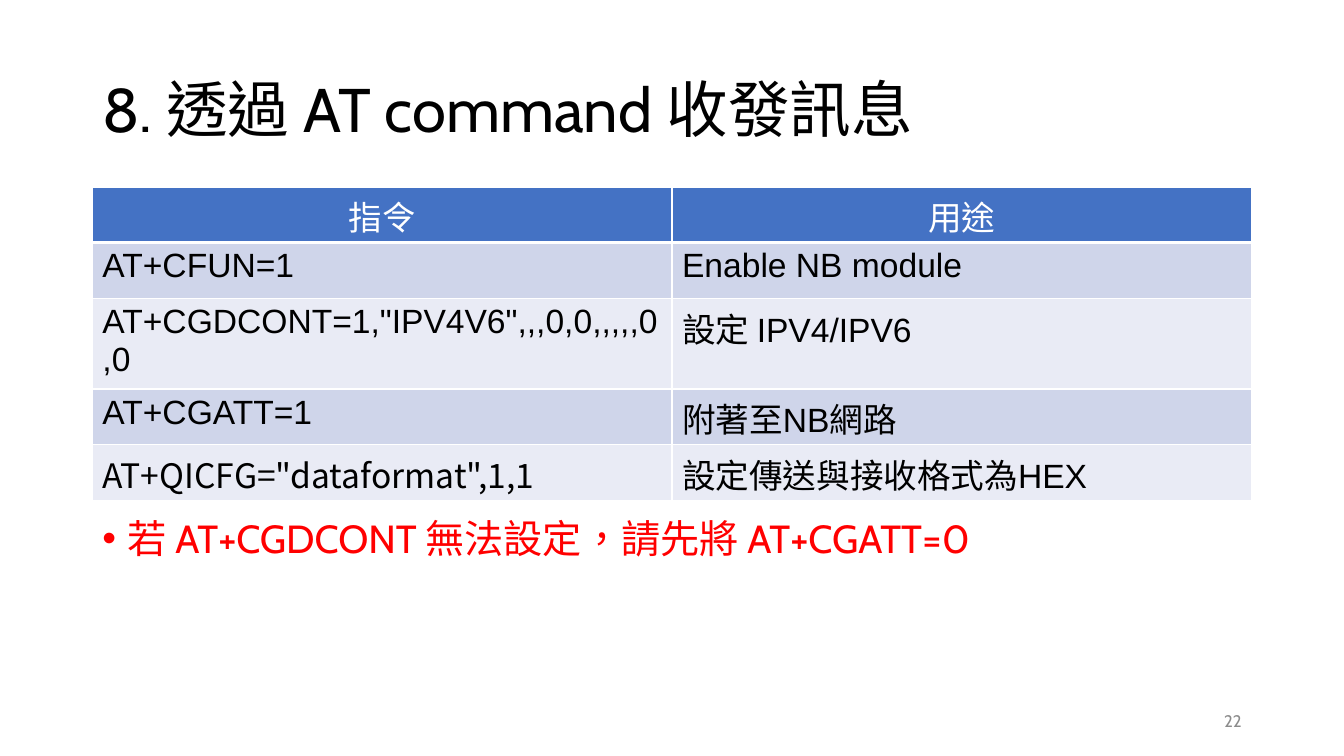
from lxml import etree
from pptx import Presentation
from pptx.dml.color import RGBColor
from pptx.enum.text import MSO_ANCHOR, PP_ALIGN
from pptx.oxml.ns import qn
from pptx.util import Pt

PX = 9525
MIDDLE, TOP = MSO_ANCHOR.MIDDLE, MSO_ANCHOR.TOP
LEFT, CENTER, RIGHT = PP_ALIGN.LEFT, PP_ALIGN.CENTER, PP_ALIGN.RIGHT
COLORS = {
    "black": "000000",
    "white": "FFFFFF",
    "warning": "FF0000",
    "muted": "8C8C8C",
    "header": "4472C4",
    "band_dark": "CFD5EA",
    "band_light": "E9EBF5",
}
HEADING_FONT, TABLE_FONT, CODE_FONT = "Cabin", "Arial", "Noto Sans CJK SC"

COMMANDS = [
    ("指令", "用途"),
    ("AT+CFUN=1", "Enable NB module"),
    ('AT+CGDCONT=1,"IPV4V6",,,0,0,,,,,0,0', "設定 IPV4/IPV6"),
    ("AT+CGATT=1", "附著至NB網路"),
    ('AT+QICFG="dataformat",1,1', "設定傳送與接收格式為HEX"),
]
ROW_HEIGHTS = [53, 53, 78, 53, 53]


def rgb(color):
    return RGBColor.from_string(COLORS[color])


def write(frame, text, size, color, font=HEADING_FONT, align=LEFT):
    frame.text = text
    paragraph = frame.paragraphs[0]
    paragraph.alignment = align
    run = paragraph.runs[0]
    run.font.size = Pt(size)
    run.font.name = font
    run.font.color.rgb = rgb(color)
    run.font._element.set("lang", "zh-TW")
    return paragraph


def add_text(slide, box, text, size, color, anchor=TOP, align=LEFT):
    frame = slide.shapes.add_textbox(*(length * PX for length in box)).text_frame
    frame.word_wrap = True
    frame.vertical_anchor = anchor
    return write(frame, text, size, color, align=align)


def add_title(slide, box):
    title = add_text(slide, box, "8. 透過 AT command 收發訊息", 44, "black", MIDDLE)
    title.line_spacing = 0.9


def add_note(slide, box):
    note = add_text(slide, box, "若 AT+CGDCONT 無法設定，請先將 AT+CGATT=0", 28, "warning")
    note.line_spacing = 0.9
    note.space_before = Pt(10)
    properties = note._p.get_or_add_pPr()
    properties.set("marL", str(24 * PX))
    properties.set("indent", str(-24 * PX))
    etree.SubElement(properties, qn("a:buFont"), typeface="Arial")
    etree.SubElement(properties, qn("a:buChar"), char="•")


def add_page_number(slide, box):
    add_text(slide, box, "22", 12, "muted", MIDDLE, RIGHT)


def add_borders(cell, top, bottom):
    properties = cell._tc.get_or_add_tcPr()
    for side, width in (("L", 1), ("R", 1), ("T", top), ("B", bottom)):
        line = etree.SubElement(properties, qn(f"a:ln{side}"), w=str(Pt(width)))
        fill = etree.SubElement(line, qn("a:solidFill"))
        etree.SubElement(fill, qn("a:srgbClr"), val=COLORS["white"])


def add_command_table(slide, box):
    left, top, width, height = (length * PX for length in box)
    table = slide.shapes.add_table(len(COMMANDS), 2, left, top, width, height).table
    for column in table.columns:
        column.width = width // 2
    for index, (texts, row_height) in enumerate(zip(COMMANDS, ROW_HEIGHTS)):
        table.rows[index].height = row_height * PX
        is_header = index == 0
        band = "band_dark" if index % 2 else "band_light"
        for column, text in enumerate(texts):
            cell = table.cell(index, column)
            is_code = index == len(COMMANDS) - 1 and column == 0
            write(
                cell.text_frame, text, 24,
                "white" if is_header else "black",
                CODE_FONT if is_code else TABLE_FONT,
                CENTER if is_header else LEFT,
            )
            add_borders(cell, 3 if index == 1 else 1, 3 if is_header else 1)
            cell.fill.solid()
            cell.fill.fore_color.rgb = rgb("header" if is_header else band)


def main():
    presentation = Presentation()
    presentation.slide_width = 1280 * PX
    presentation.slide_height = 720 * PX
    slide = presentation.slides.add_slide(presentation.slide_layouts[6])
    add_title(slide, (88, 38, 1104, 139))
    add_note(slide, (88, 490, 1104, 80))
    add_command_table(slide, (88, 178, 1104, sum(ROW_HEIGHTS)))
    add_page_number(slide, (904, 667, 288, 38))
    presentation.save("out.pptx")


if __name__ == "__main__":
    main()
